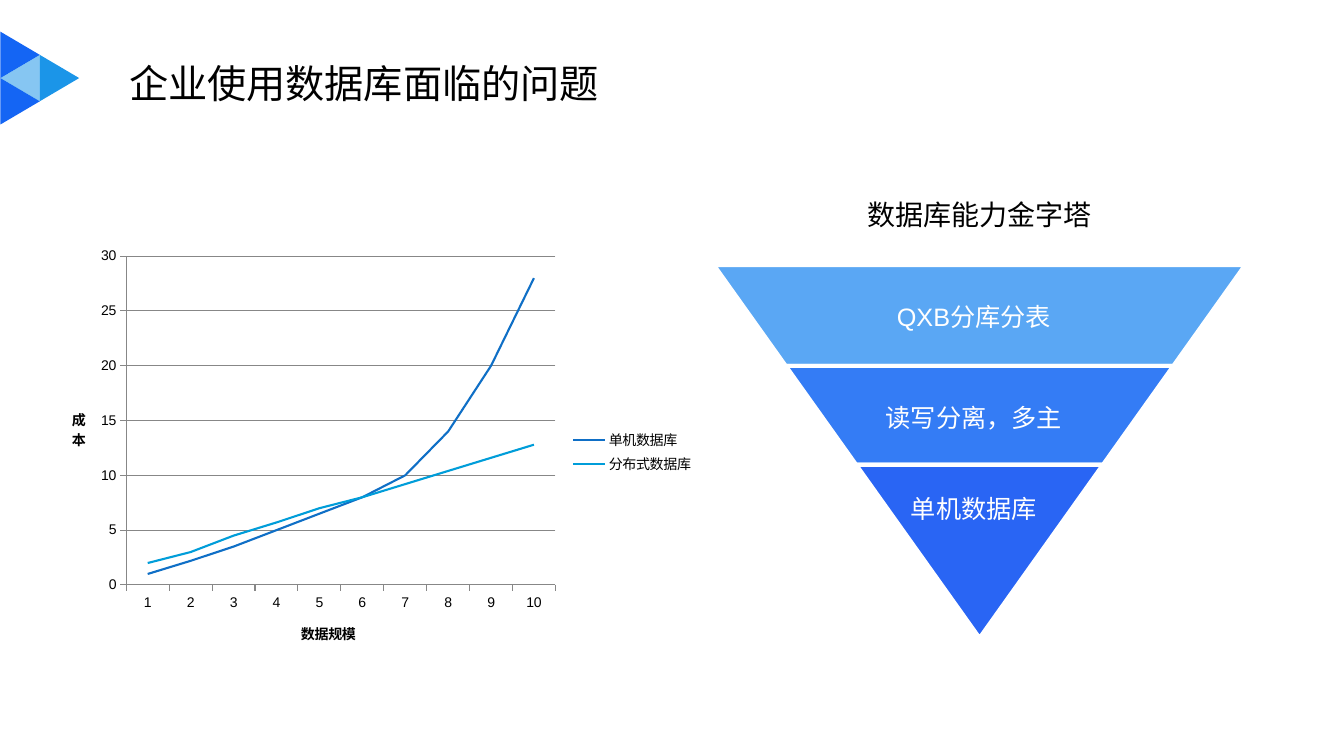
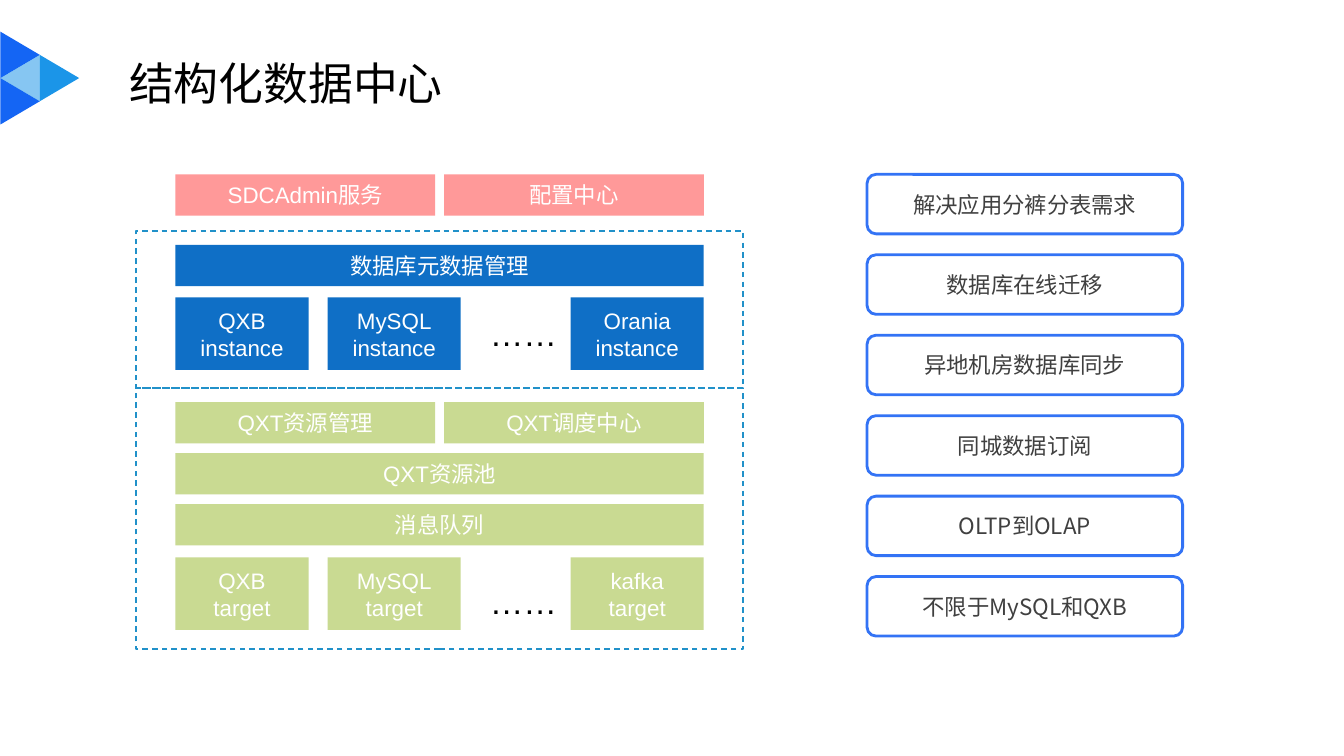
from dataclasses import dataclass

from lxml import etree
from pptx import Presentation
from pptx.chart.data import CategoryChartData
from pptx.dml.color import RGBColor
from pptx.enum.chart import XL_CHART_TYPE, XL_LEGEND_POSITION, XL_TICK_MARK
from pptx.enum.dml import MSO_LINE
from pptx.enum.shapes import MSO_SHAPE
from pptx.enum.text import MSO_ANCHOR, MSO_AUTO_SIZE, PP_ALIGN
from pptx.oxml.ns import qn
from pptx.util import Inches, Pt

RECTANGLE = MSO_SHAPE.RECTANGLE
ROUNDED = MSO_SHAPE.ROUNDED_RECTANGLE
TRIANGLE = MSO_SHAPE.ISOSCELES_TRIANGLE
TRAPEZOID = MSO_SHAPE.TRAPEZOID
LEFT, CENTER = PP_ALIGN.LEFT, PP_ALIGN.CENTER
TOP, MIDDLE = MSO_ANCHOR.TOP, MSO_ANCHOR.MIDDLE
TITLE_ONLY = 5
CELL = Inches(0.1)  # one column or row of the slide grid


@dataclass(frozen=True)
class Theme:
    font: str = "Arial"
    cjk_font: str = "Noto Sans CJK SC"
    black: str = "000000"
    white: str = "FFFFFF"
    gray: str = "404040"
    grid: str = "878787"
    mark: str = "1465F4"
    mark_light: str = "1B95E8"
    pyramid: tuple = ("5AA7F4", "347CF5", "2965F4")
    series: tuple = ("0F6FC6", "009DD9")
    control: str = "FF9999"
    metadata: str = "0F6FC6"
    transfer: str = "C9DA92"
    frame: str = "2191C9"
    outline: str = "3373F5"
    chart_size: int = 10
    body_size: int = 16
    label_size: int = 18
    heading_size: int = 20
    dots_size: int = 24


THEME = Theme()


@dataclass(frozen=True)
class Box:
    """A region measured in grid cells."""
    left: float
    top: float
    width: float
    height: float

    def inner(self, column, row, width, height):
        return Box(self.left + column, self.top + row, width, height)

    def emu(self):
        return [round(value * CELL)
                for value in (self.left, self.top, self.width, self.height)]


def rgb(color):
    return RGBColor.from_string(color)


def set_all(target, values):
    for name, value in values.items():
        setattr(target, name, value)


def write(frame, text, size, color, font=THEME.font, align=CENTER,
          anchor=MIDDLE, spacing=None):
    set_all(frame, {"text": text, "word_wrap": True, "vertical_anchor": anchor,
                    "auto_size": MSO_AUTO_SIZE.NONE})
    for paragraph in frame.paragraphs:
        set_all(paragraph, {"alignment": align, "line_spacing": spacing})
        for run in paragraph.runs:
            set_all(run.font, {"size": Pt(size), "name": font})
            run.font.color.rgb = rgb(color)
            latin = run.font._element.find(qn("a:latin"))
            east_asian = etree.Element(qn("a:ea"), typeface=THEME.cjk_font)
            latin.addnext(east_asian)


def add_block(slide, kind, box, fill=None, line=None, width=1):
    shape = slide.shapes.add_shape(kind, *box.emu())
    shape.shadow.inherit = False
    if fill:
        shape.fill.solid()
        shape.fill.fore_color.rgb = rgb(fill)
    else:
        shape.fill.background()
    if line:
        shape.line.color.rgb = rgb(line)
        shape.line.width = Pt(width)
    else:
        shape.line.fill.background()
    return shape


def add_label(slide, box, text, size, color, **options):
    label = slide.shapes.add_textbox(*box.emu())
    write(label.text_frame, text, size, color, anchor=TOP, **options)


def decorate_layout(layout, slide):
    """Draw the corner mark once and move it into the shared layout."""
    marks = (
        (-0.3, 3.5, 90, THEME.mark, None),
        (-0.3, 8.1, 90, THEME.mark, None),
        (3.6, 5.8, 90, THEME.mark_light, None),
        (-0.3, 5.8, 270, THEME.mark_light, 53),
    )
    for left, top, rotation, color, opacity in marks:
        triangle = add_block(slide, TRIANGLE, Box(left, top, 4.6, 3.9), color)
        triangle.rotation = rotation
        if opacity:
            value = triangle.element.find(".//" + qn("a:srgbClr"))
            etree.SubElement(value, qn("a:alpha"), val=str(opacity * 1000))
        layout.shapes.element.append(triangle.element)


def add_titled_slide(presentation, title, size):
    slide = presentation.slides.add_slide(presentation.slide_layouts[TITLE_ONLY])
    placeholder = slide.shapes.title
    left, top, width, height = Box(11.8, 2.6, 115, 11.8).emu()
    set_all(placeholder, {"left": left, "top": top,
                          "width": width, "height": height})
    write(placeholder.text_frame, title, size, THEME.black, THEME.cjk_font,
          align=LEFT, spacing=0.9)
    return slide


def style_axis(axis, title, gridlines):
    set_all(axis, {"has_title": True, "has_major_gridlines": gridlines,
                   "major_tick_mark": XL_TICK_MARK.OUTSIDE,
                   "minor_tick_mark": XL_TICK_MARK.NONE})
    axis.format.line.color.rgb = rgb(THEME.grid)
    frame = axis.axis_title.text_frame
    frame.text = title
    set_all(frame.paragraphs[0].runs[0].font,
            {"size": Pt(THEME.chart_size), "bold": True, "name": THEME.font})


def add_cost_chart(slide, box):
    data = CategoryChartData()
    data.categories = [str(number) for number in range(1, 11)]
    data.add_series("单机数据库", (1, 2.2, 3.5, 5, 6.5, 8, 10, 14, 20, 28))
    data.add_series("分布式数据库",
                    (2, 3, 4.5, 5.7, 7, 8, 9.2, 10.4, 11.6, 12.8))
    chart = slide.shapes.add_chart(XL_CHART_TYPE.LINE, *box.emu(), data).chart
    set_all(chart, {"has_title": False, "has_legend": True})
    set_all(chart.legend, {"position": XL_LEGEND_POSITION.RIGHT,
                           "include_in_layout": False})
    set_all(chart.font, {"size": Pt(THEME.chart_size), "name": THEME.font})
    chart.font.color.rgb = rgb(THEME.black)

    style_axis(chart.category_axis, "数据规模", False)
    value_axis = chart.value_axis
    style_axis(value_axis, "成本", True)
    set_all(value_axis, {"minimum_scale": 0, "maximum_scale": 30,
                         "major_unit": 5})
    value_axis.major_gridlines.format.line.color.rgb = rgb(THEME.grid)
    body = value_axis.axis_title.text_frame._txBody.find(qn("a:bodyPr"))
    body.set("rot", "0")
    body.set("vert", "wordArtVert")

    chart.plots[0].vary_by_categories = False
    for series, color in zip(chart.plots[0].series, THEME.series):
        series.smooth = False
        series.format.line.color.rgb = rgb(color)
        series.format.line.width = Pt(1.5)


def add_pyramid(slide, box):
    """Stack inverted trapezoids whose slanted sides run on to one point."""
    slope = 0.712
    add_label(slide, box.inner(10, -7.2, 32.7, 4.4), "数据库能力金字塔",
              THEME.heading_size, THEME.black)
    levels = (("QXB分库分表", 10, 3.1),
              ("读写分离，多主", 9.8, 3.1),
              ("单机数据库", 17.2, 2.3))
    row = 0
    for (text, height, text_row), color in zip(levels, THEME.pyramid):
        inset = slope * row
        level = box.inner(inset, row, box.width - 2 * inset, height)
        shape = add_block(slide, TRAPEZOID, level, color, THEME.white, 3)
        shape.rotation = 180
        shape.adjustments[0] = slope
        add_label(slide, box.inner(13.8, row + text_row, 24, 4), text,
                  THEME.label_size, THEME.white)
        row += height


def add_bar_row(slide, box, texts, color):
    """Share the width of the box equally between the bars."""
    gap = 0.9
    width = (box.width - gap * (len(texts) - 1)) / len(texts)
    for index, text in enumerate(texts):
        bar = add_block(slide, RECTANGLE,
                        box.inner(index * (width + gap), 0, width, 4.1), color)
        write(bar.text_frame, text, THEME.body_size, THEME.white)


def add_tile_row(slide, box, texts, color, dots_row):
    """Place two tiles, an ellipsis and a last tile at the right edge."""
    width, pitch = 13.2, 15.1
    columns = (0, pitch, box.width - width)
    for column, text in zip(columns, texts):
        tile = add_block(slide, RECTANGLE, box.inner(column, 0, width, 7.2), color)
        write(tile.text_frame, text, THEME.body_size, THEME.white)
    add_label(slide, box.inner(2 * pitch, dots_row, 9.9, 5), "……",
              THEME.dots_size, THEME.black, align=LEFT)


def add_layer(slide, box, bar_rows, tiles, tile_row, dots_row, color):
    """Draw a dashed frame holding rows of bars above a row of tiles."""
    frame = add_block(slide, RECTANGLE, box, line=THEME.frame)
    frame.line.dash_style = MSO_LINE.DASH
    margin, first_row, pitch = 3.9, 1.4, 5.05
    content = box.inner(margin, 0, box.width - 2 * margin, box.height)
    for index, texts in enumerate(bar_rows):
        row = content.inner(0, first_row + index * pitch, content.width, 4.1)
        add_bar_row(slide, row, texts, color)
    row = content.inner(0, tile_row, content.width, 7.2)
    add_tile_row(slide, row, tiles, color, dots_row)


def add_architecture(slide, box):
    add_bar_row(slide, box.inner(3.9, 0, 52.4, 4.1),
                ("SDCAdmin服务", "配置中心"), THEME.control)
    add_layer(slide, box.inner(0, 5.6, box.width, 15.6),
              [("数据库元数据管理",)],
              ("QXB\ninstance", "MySQL\ninstance", "Orania\ninstance"),
              6.6, 1.1, THEME.metadata)
    add_layer(slide, box.inner(0, 21.2, box.width, 25.9),
              [("QXT资源管理", "QXT调度中心"), ("QXT资源池",), ("消息队列",)],
              ("QXB\ntarget", "MySQL\ntarget", "kafka\ntarget"),
              16.8, 1.8, THEME.transfer)


def add_capabilities(slide, box):
    texts = ("解决应用分裤分表需求", "数据库在线迁移", "异地机房数据库同步",
             "同城数据订阅", "OLTP到OLAP", "不限于MySQL和QXB")
    height = 5.9
    pitch = (box.height - height) / (len(texts) - 1)
    inset = Inches(0.06)
    for index, text in enumerate(texts):
        card = add_block(slide, ROUNDED,
                         box.inner(0, index * pitch, box.width, height),
                         line=THEME.outline, width=2)
        card.adjustments[0] = 0.15
        set_all(card.text_frame, {"margin_left": inset, "margin_right": inset,
                                  "margin_top": inset, "margin_bottom": inset})
        write(card.text_frame, text, THEME.body_size, THEME.gray, THEME.cjk_font)


def main():
    presentation = Presentation()
    set_all(presentation, {"slide_width": Inches(13.33),
                           "slide_height": Inches(7.5)})

    problems = add_titled_slide(presentation, "企业使用数据库面临的问题", 28)
    decorate_layout(problems.slide_layout, problems)
    add_pyramid(problems, Box(70.8, 26.3, 52.7, 37))
    add_cost_chart(problems, Box(5.1, 23.8, 64.7, 42.1))

    data_center = add_titled_slide(presentation, "结构化数据中心", 32)
    add_architecture(data_center, Box(13.5, 17.3, 60.2, 47.1))
    add_capabilities(data_center, Box(86, 17.3, 31.3, 45.8))

    presentation.save("out.pptx")


if __name__ == "__main__":
    main()
